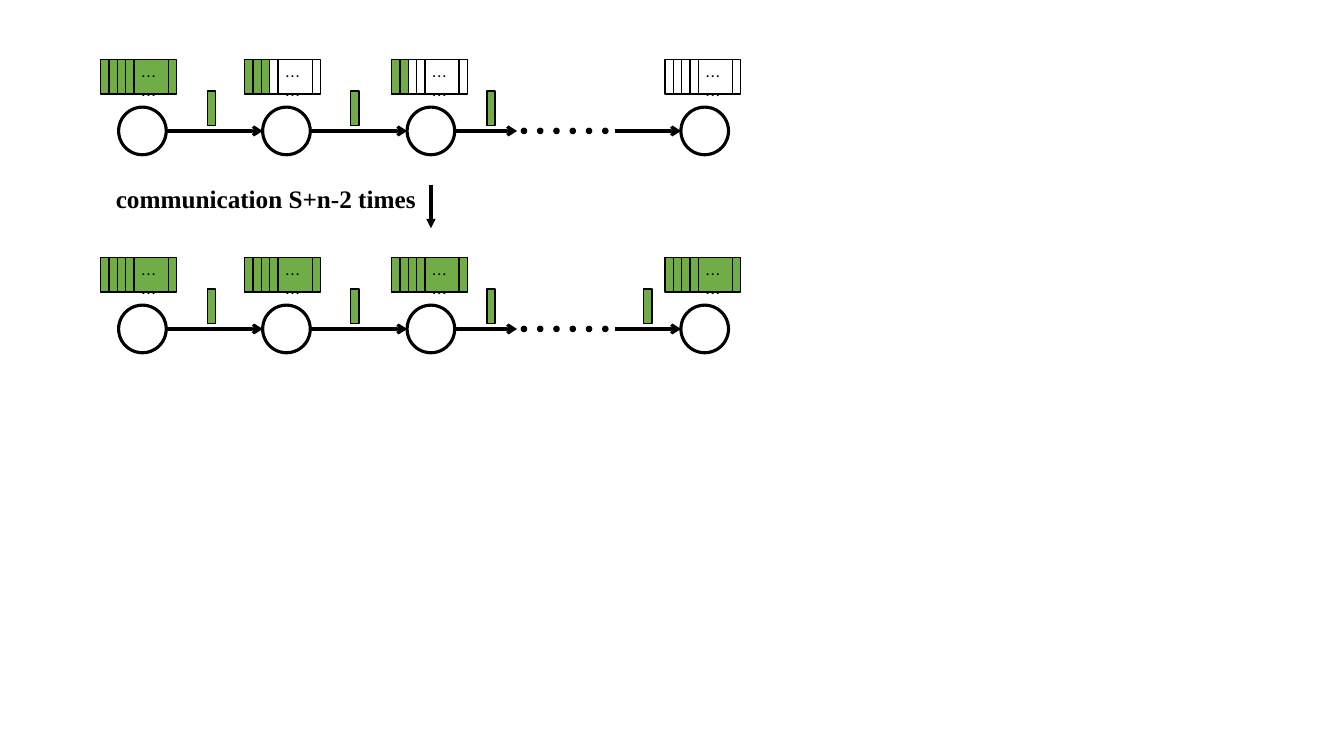
from lxml import etree
from pptx import Presentation
from pptx.dml.color import RGBColor
from pptx.enum.shapes import MSO_CONNECTOR, MSO_SHAPE
from pptx.enum.text import MSO_AUTO_SIZE
from pptx.oxml.ns import qn
from pptx.util import Cm, Pt

BLACK = RGBColor(0x00, 0x00, 0x00)
WHITE = RGBColor(0xFF, 0xFF, 0xFF)
GREEN = RGBColor(0x70, 0xAD, 0x47)
RECTANGLE = MSO_SHAPE.RECTANGLE
OVAL = MSO_SHAPE.OVAL
STRAIGHT = MSO_CONNECTOR.STRAIGHT
GROW = MSO_AUTO_SIZE.SHAPE_TO_FIT_TEXT
TOP, LEFT, BOTTOM, RIGHT = range(4)

THIN, THICK = 1, 2.25
BUFFER_WIDTH, BUFFER_HEIGHT = 1.91, 0.87
CELL = 0.21
LEADING_CELLS = 4
NODE_SIZE, DOT_SIZE = 1.2, 0.13
NODE_CENTERS = (1.05, 4.68, 8.32, 15.22)
BUFFER_LEFTS = (0, 3.63, 7.33, 14.22)
FILLED_CELLS = (0, 3, 2, 0)
PACKET_LEFTS = (2.69, 6.3, 9.73, 13.68)


def add_box(slide, kind, left, top, width, height, fill, line=BLACK, weight=THIN):
    shape = slide.shapes.add_shape(kind, Cm(left), Cm(top), Cm(width), Cm(height))
    shape.shadow.inherit = False
    shape.fill.solid()
    shape.fill.fore_color.rgb = fill
    shape.line.color.rgb = line
    shape.line.width = Pt(weight)
    return shape


def add_line(slide, x1, y1, x2, y2, weight=THIN, head=None):
    line = slide.shapes.add_connector(STRAIGHT, Cm(x1), Cm(y1), Cm(x2), Cm(y2))
    line.line.color.rgb = BLACK
    line.line.width = Pt(weight)
    if head:
        etree.SubElement(line.line._get_or_add_ln(), qn("a:tailEnd"), type=head)
    etree.SubElement(line._element.spPr, qn("a:effectLst"))
    return line


def add_text(slide, left, top, width, height, text, font, size, bold=False, wrap=True):
    box = slide.shapes.add_textbox(Cm(left), Cm(top), Cm(width), Cm(height))
    frame = box.text_frame
    frame.word_wrap = wrap
    frame.auto_size = GROW
    para = frame.paragraphs[0]
    para.text = text
    para.font.size = Pt(size)
    para.font.bold = bold
    para.font.color.rgb = BLACK
    para.font.name = font
    properties = para._p.pPr.find(qn("a:defRPr"))
    etree.SubElement(properties, qn("a:ea"), typeface=font)


def add_buffer(slide, left, top, fill, filled_cells):
    """Draw a strip of cells, the first filled_cells of them in green."""
    add_box(slide, RECTANGLE, left, top, BUFFER_WIDTH, BUFFER_HEIGHT, fill)
    add_text(slide, left + 0.76, top + 0.07, 1.16, 0.74, "……", "Noto Sans CJK SC", 11)
    dividers = [CELL * cell for cell in range(filled_cells + 1, LEADING_CELLS + 1)]
    for offset in dividers + [BUFFER_WIDTH - CELL]:
        add_line(slide, left + offset, top, left + offset, top + BUFFER_HEIGHT)
    for cell in range(filled_cells):
        add_box(slide, RECTANGLE, left + CELL * cell, top, CELL, BUFFER_HEIGHT, GREEN)


def add_chain(slide, left, top, fills, packet_count):
    """Draw one row of linked nodes with their buffers and travelling packets."""
    axis = top + 1.8
    radius = NODE_SIZE / 2
    centers = [left + center for center in NODE_CENTERS]
    for center in centers:
        add_box(slide, OVAL, center - radius, axis - radius, NODE_SIZE, NODE_SIZE,
                WHITE, weight=THICK)

    for start, end in zip(centers[:2], centers[1:3]):
        add_line(slide, start + radius, axis, end - radius, axis, THICK, "arrow")

    gap_left, gap_width, gap_height = left + 10.49, 2.46, 0.97
    gap = add_box(slide, RECTANGLE, gap_left, axis - gap_height / 2,
                  gap_width, gap_height, WHITE, WHITE)
    into_gap = add_line(slide, centers[2] + radius, axis, gap_left, axis, THICK, "arrow")
    into_gap.end_connect(gap, LEFT)
    out_of_gap = add_line(slide, gap_left + gap_width, axis,
                          centers[3] - radius, axis, THICK, "arrow")
    out_of_gap.begin_connect(gap, RIGHT)
    for dot in range(6):
        add_box(slide, OVAL, gap_left + 0.11 + 0.41 * dot, axis - DOT_SIZE / 2,
                DOT_SIZE, DOT_SIZE, BLACK)

    for offset, fill, filled_cells in zip(BUFFER_LEFTS, fills, FILLED_CELLS):
        add_buffer(slide, left + offset, top, fill, filled_cells)
    for offset in PACKET_LEFTS[:packet_count]:
        add_box(slide, RECTANGLE, left + offset, top + 0.79, CELL, BUFFER_HEIGHT, GREEN)


def add_step(slide, left, top):
    """Draw the caption and the down arrow between the two chains."""
    add_text(slide, left, top, 8.15, 1.02, "communication S+n-2 times",
             "Times New Roman", 18, bold=True, wrap=False)
    arrow_x = left + 8.19
    add_line(slide, arrow_x, top + 0.15, arrow_x, top + 1.25, THICK, "triangle")


def main():
    deck = Presentation()
    deck.slide_width, deck.slide_height = Cm(33.87), Cm(19.05)
    slide = deck.slides.add_slide(deck.slide_layouts[6])
    add_chain(slide, 2.54, 1.5, (GREEN, WHITE, WHITE, WHITE), packet_count=3)
    add_chain(slide, 2.54, 6.49, (GREEN,) * 4, packet_count=4)
    add_step(slide, 2.67, 4.5)
    deck.save("out.pptx")


if __name__ == "__main__":
    main()
